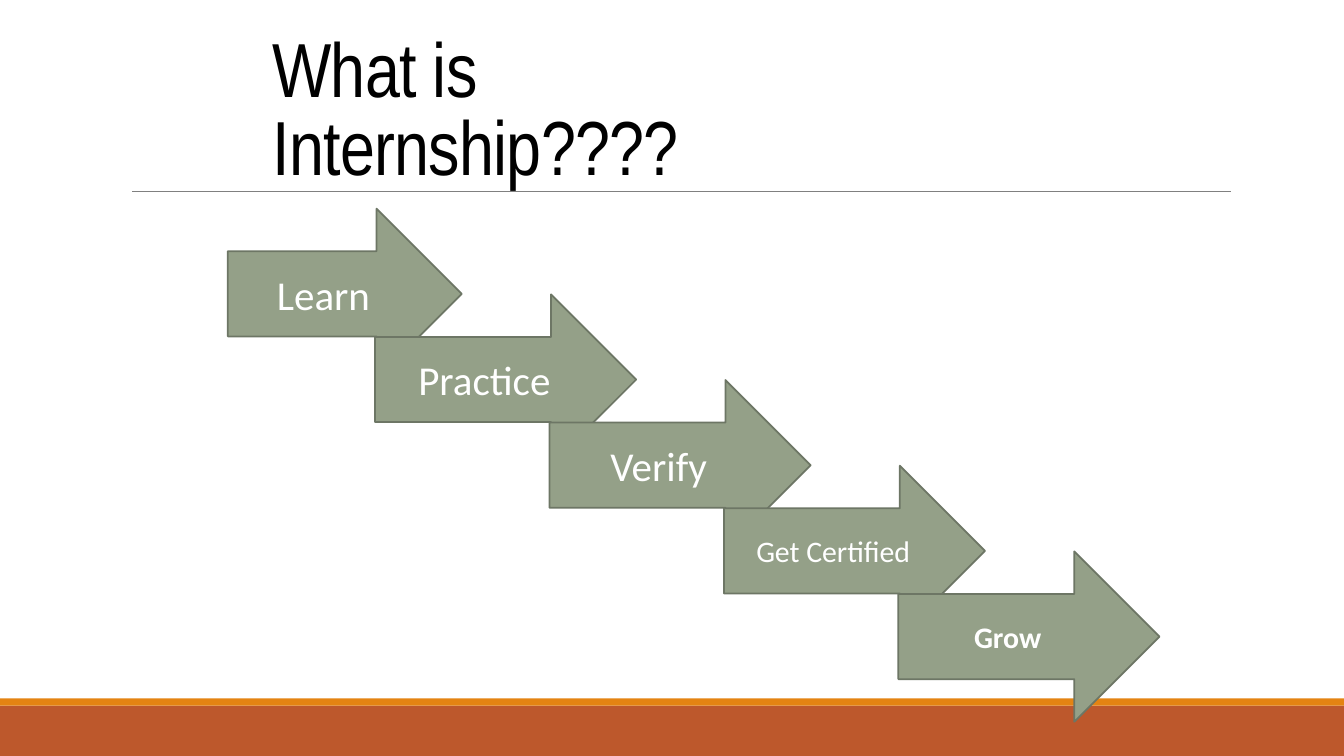
from dataclasses import dataclass

from lxml.etree import SubElement as add_sub
from pptx import Presentation
from pptx.dml.color import RGBColor as Color
from pptx.enum.shapes import MSO_CONNECTOR as Link, MSO_SHAPE as Form
from pptx.enum.text import MSO_ANCHOR as Anchor, MSO_AUTO_SIZE as Fit, PP_ALIGN as Align
from pptx.oxml.ns import qn
from pptx.slide import Slide
from pptx.util import Inches, Pt


@dataclass(frozen=True)
class Theme:
    rust: Color = Color.from_string("BD582C")
    orange: Color = Color.from_string("E48312")
    gray: Color = Color.from_string("808080")
    sage: Color = Color.from_string("94A088")
    edge: Color = Color.from_string("6D7665")
    white: Color = Color.from_string("FFFFFF")
    black: Color = Color.from_string("000000")
    head: str = "Arial Narrow"
    body: str = "Calibri"
    title: float = 54.7
    large: float = 29.3
    small: float = 21.3


THEME = Theme()


@dataclass(frozen=True)
class Band:
    top: float
    height: float
    fill: Color


@dataclass(frozen=True)
class Step:
    label: str
    size: float = THEME.large
    width: float = 2.59
    bold: bool = False


BANDS = [Band(7, 0.5, THEME.rust), Band(6.93, 0.07, THEME.orange)]
STEPS = [
    Step("Learn", width=2.32),
    Step("Practice"),
    Step("Verify"),
    Step("Get Certified", THEME.small),
    Step("Grow", THEME.small, bold=True),
]
FIRST_TIP, FIRST_TOP = 4.58, 2.07
STEP_X, STEP_Y = 1.73, 0.85
STEP_HIGH = 1.69
WIDE, HIGH = 13.33, 7.5


def draw_band(slide: Slide, band: Band) -> None:
    shape = slide.shapes.add_shape(
        Form.RECTANGLE, 0, Inches(band.top), Inches(WIDE), Inches(band.height))
    shape.shadow.inherit = False
    shape.fill.solid()
    shape.fill.fore_color.rgb = band.fill
    shape.line.fill.background()


def draw_rule(slide: Slide) -> None:
    rule = slide.shapes.add_connector(
        Link.STRAIGHT, Inches(1.31), Inches(1.9), Inches(12.21), Inches(1.9))
    rule.line.color.rgb = THEME.gray
    rule.line.width = Pt(0.5)
    add_sub(rule._element.spPr, qn("a:effectLst"))


def draw_title(slide: Slide, text: str) -> None:
    title = slide.shapes.title
    title.left, title.top = Inches(2.7), Inches(0.39)
    title.width, title.height = Inches(6.16), Inches(1.47)
    frame = title.text_frame
    frame.text = text
    frame.word_wrap = True
    frame.auto_size = Fit.NONE
    frame.vertical_anchor = Anchor.MIDDLE
    frame.margin_left = frame.margin_right = 0
    frame.margin_top = frame.margin_bottom = 0
    para = frame.paragraphs[0]
    para.alignment = Align.LEFT
    para.line_spacing = 0.85
    para.font.name = THEME.head
    para.font.size = Pt(THEME.title)
    para.font.color.rgb = THEME.black
    para.runs[0]._r.get_or_add_rPr().set("spc", "-50")


def draw_step(slide: Slide, step: Step, index: int) -> None:
    left = FIRST_TIP + index * STEP_X - step.width
    top = FIRST_TOP + index * STEP_Y
    arrow = slide.shapes.add_shape(
        Form.RIGHT_ARROW, Inches(left), Inches(top), Inches(step.width), Inches(STEP_HIGH))
    arrow.shadow.inherit = False
    arrow.fill.solid()
    arrow.fill.fore_color.rgb = THEME.sage
    arrow.line.color.rgb = THEME.edge
    arrow.line.width = Pt(1.25)
    frame = arrow.text_frame
    frame.text = step.label
    frame.word_wrap = True
    frame.vertical_anchor = Anchor.MIDDLE
    para = frame.paragraphs[0]
    para.alignment = Align.CENTER
    para.font.name = THEME.body
    para.font.size = Pt(step.size)
    para.font.bold = step.bold
    para.font.color.rgb = THEME.white


def main() -> None:
    deck = Presentation()
    deck.slide_width, deck.slide_height = Inches(WIDE), Inches(HIGH)
    slide = deck.slides.add_slide(deck.slide_layouts[5])
    for band in BANDS:
        draw_band(slide, band)
    draw_rule(slide)
    draw_title(slide, "What is Internship????")
    for index, step in enumerate(STEPS):
        draw_step(slide, step, index)
    deck.save("out.pptx")


if __name__ == "__main__":
    main()
